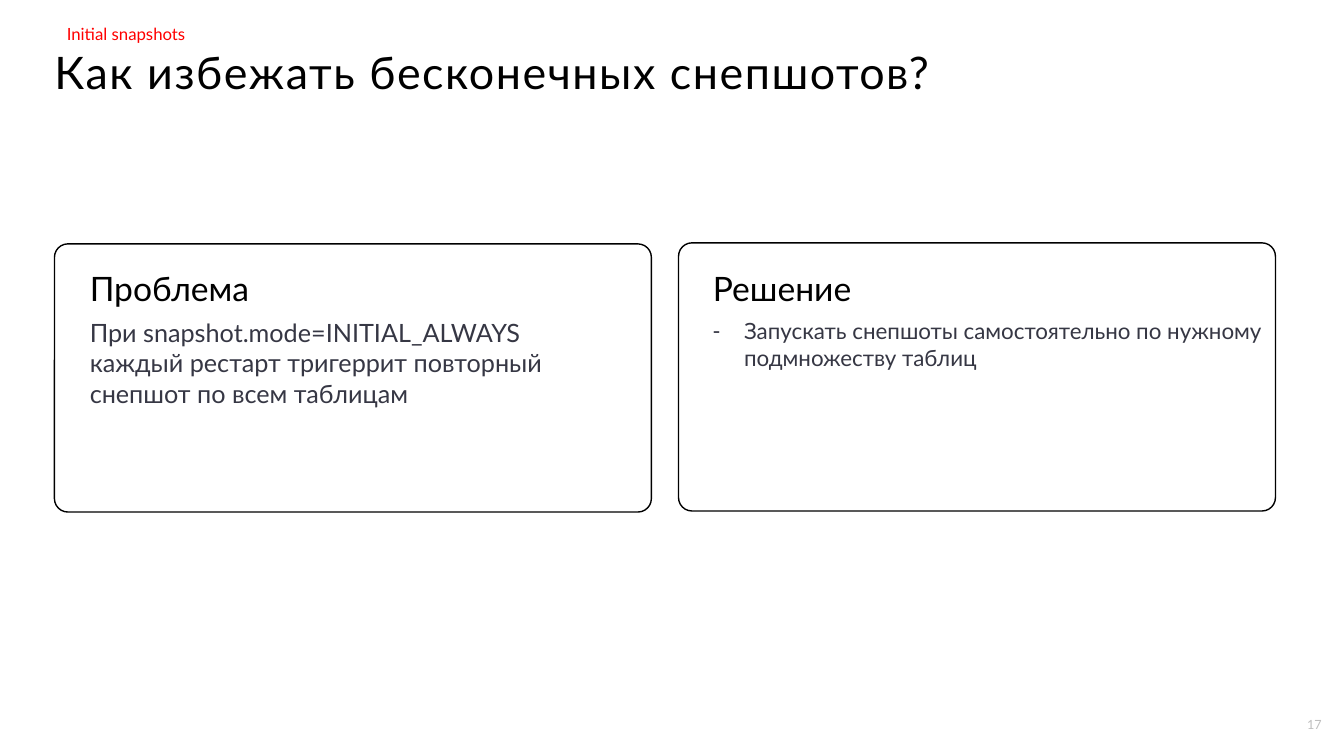
from lxml import etree
from pptx import Presentation
from pptx.dml.color import RGBColor
from pptx.enum import shapes, text
from pptx.oxml import ns
from pptx.util import Inches, Pt

BLACK = RGBColor(0x00, 0x00, 0x00)
WHITE = RGBColor(0xFF, 0xFF, 0xFF)
SLATE = RGBColor(0x36, 0x37, 0x44)
RED = RGBColor(0xFF, 0x00, 0x00)
GREY = RGBColor(0xBF, 0xBF, 0xBF)

SECTION = "Initial snapshots"
TITLE = "Как избежать бесконечных снепшотов?"
PAGE_NUMBER = "17"
CARDS = [
    {"left": 0.54, "top": 2.42, "text_left": 0.89, "body_width": 5.19,
     "heading": "Проблема", "size": 18, "bullet": None,
     "body": "При snapshot.mode=INITIAL_ALWAYS каждый рестарт тригеррит "
             "повторный снепшот по всем таблицам"},
    {"left": 6.73, "top": 2.41, "text_left": 7.07, "body_width": 5.49,
     "heading": "Решение", "size": 16, "bullet": "-",
     "body": "Запускать снепшоты самостоятельно по нужному подмножеству таблиц"},
]


def place(shape, left, top, width, height):
    """Move and size a shape, in inches."""
    shape.left, shape.top = Inches(left), Inches(top)
    shape.width, shape.height = Inches(width), Inches(height)


def write(shape, words, size, color, anchor=text.MSO_ANCHOR.TOP,
          align=text.PP_ALIGN.LEFT, inset=(0, 0)):
    """Fill a shape with one formatted paragraph and return it."""
    frame = shape.text_frame
    frame.text = words
    frame.word_wrap = True
    frame.auto_size = text.MSO_AUTO_SIZE.NONE
    frame.vertical_anchor = anchor
    frame.margin_left = frame.margin_right = Inches(inset[0])
    frame.margin_top = frame.margin_bottom = Inches(inset[1])
    paragraph = frame.paragraphs[0]
    paragraph.alignment = align
    paragraph.space_before = Pt(0)
    return style(paragraph, size, color)


def style(paragraph, size, color):
    """Set the font of a whole paragraph."""
    font = paragraph.font
    font.name, font.size, font.bold = "Lato", Pt(size), False
    font.color.rgb = color
    return paragraph


def set_bullet(paragraph, bullet):
    """Give a paragraph a hanging bullet, or none."""
    properties = paragraph._p.get_or_add_pPr()
    indent = Inches(0.31) if bullet else 0
    properties.set("marL", str(indent))
    properties.set("indent", str(-indent))
    tag = "a:buChar" if bullet else "a:buNone"
    mark = etree.Element(ns.qn(tag))
    if bullet:
        mark.set("char", bullet)
    defaults = properties.find(ns.qn("a:defRPr"))
    defaults.addprevious(mark)


def add_rounded(slide, left, top, width, height, corner):
    """Add a rounded rectangle without shadow."""
    shape = slide.shapes.add_shape(
        shapes.MSO_SHAPE.ROUNDED_RECTANGLE,
        Inches(left), Inches(top), Inches(width), Inches(height))
    shape.adjustments[0] = corner
    shape.shadow.inherit = False
    return shape


def add_card(slide, card, heading, body):
    """Draw one card behind its heading and body placeholders."""
    frame = add_rounded(slide, card["left"], card["top"], 5.92, 2.66, 0.05)
    frame.fill.solid()
    frame.fill.fore_color.rgb = WHITE
    frame.line.color.rgb = BLACK
    frame.line.width = Pt(1)
    frame.element.getparent().insert(2, frame.element)

    place(heading, card["text_left"], 2.73, 4.08, 0.33)
    write(heading, card["heading"], 24, BLACK, text.MSO_ANCHOR.BOTTOM)
    place(body, card["text_left"], 3.15, card["body_width"], 0.97)
    paragraph = write(body, card["body"], card["size"], SLATE)
    set_bullet(paragraph, card["bullet"])


def main():
    """Build the slide and save it."""
    presentation = Presentation()
    presentation.slide_width = Inches(13.33)
    presentation.slide_height = Inches(7.5)
    slide = presentation.slides.add_slide(presentation.slide_layouts[4])

    title = slide.shapes.title
    place(title, 0.54, 0.5, 11.77, 0.39)
    paragraph = write(title, TITLE, 32, BLACK)
    paragraph.line_spacing = 0.9
    paragraph.runs[0].font._element.set("spc", "110")

    for index, card in enumerate(CARDS):
        heading, body = (slide.placeholders[2 * index + part] for part in (1, 2))
        add_card(slide, card, heading, body)

    section = add_rounded(slide, 0.56, 0.18, 11.77, 0.32, 0.05)
    section.fill.background()
    section.line.fill.background()
    write(section, SECTION, 12, RED, inset=(0.1, 0.05))

    number = slide.shapes.add_textbox(
        Inches(12.55), Inches(7.11), Inches(0.56), Inches(0.2))
    write(number, PAGE_NUMBER, 9, GREY, align=text.PP_ALIGN.RIGHT)

    presentation.save("out.pptx")


if __name__ == "__main__":
    main()
